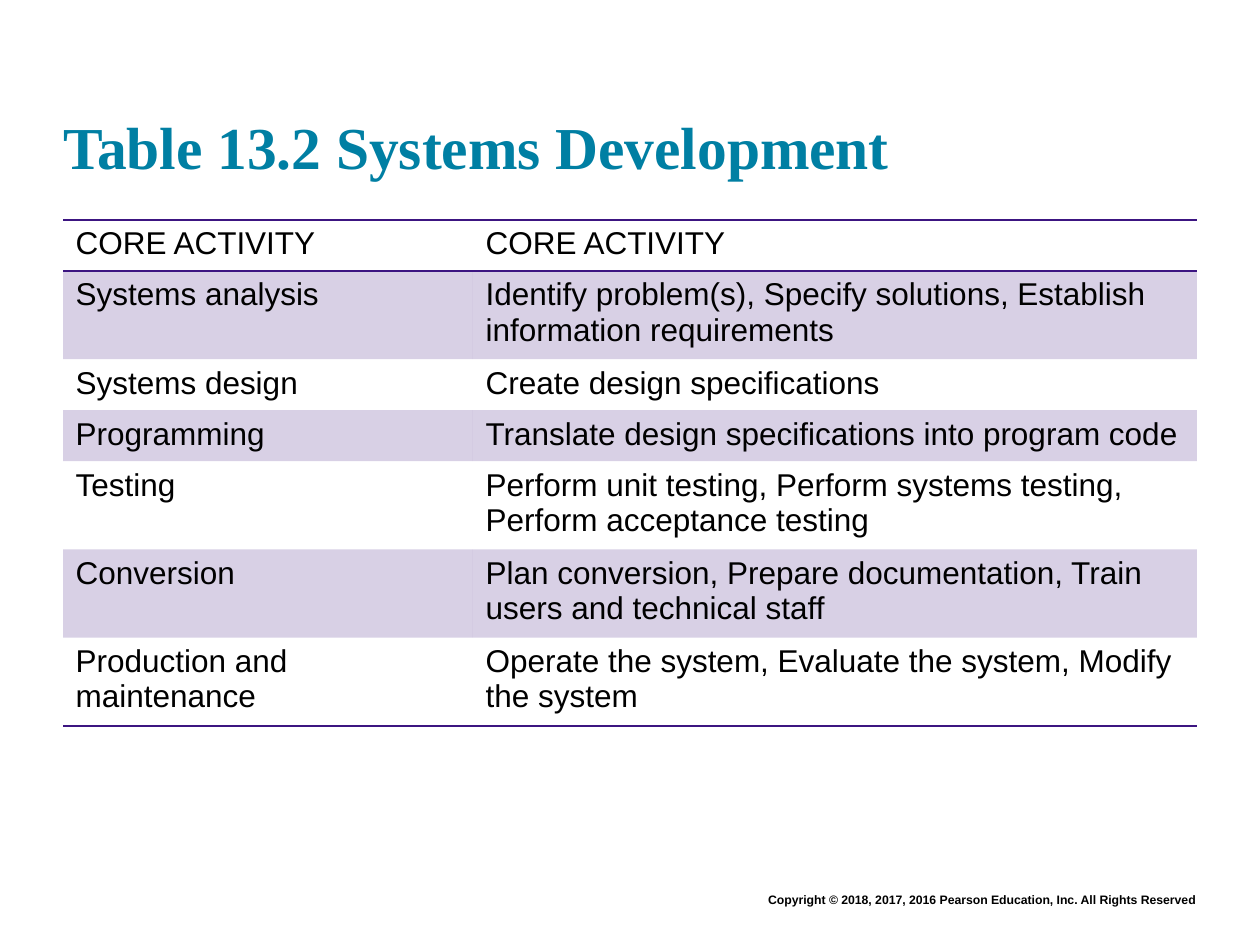
from lxml.etree import SubElement
from pptx import Presentation
from pptx.dml.color import RGBColor
from pptx.enum.text import MSO_ANCHOR, PP_ALIGN
from pptx.oxml import parse_xml
from pptx.oxml.ns import nsdecls, qn
from pptx.util import Pt

EMU_PER_PX = 914400 / 126
COLORS = {"title": "007FA3", "text": "000000", "rule": "3C1581"}
BAND_OPACITY = 20
NO_STYLE_NO_GRID = "{2D5ABB26-0587-4C30-8999-92F81FD0307C}"

ACTIVITIES = [
    ("CORE ACTIVITY", "CORE ACTIVITY"),
    ("Systems analysis",
     "Identify problem(s), Specify solutions, Establish information requirements"),
    ("Systems design", "Create design specifications"),
    ("Programming", "Translate design specifications into program code"),
    ("Testing",
     "Perform unit testing, Perform systems testing, Perform acceptance testing"),
    ("Conversion",
     "Plan conversion, Prepare documentation, Train users and technical staff"),
    ("Production and maintenance",
     "Operate the system, Evaluate the system, Modify the system"),
]


def px(length):
    return round(length * EMU_PER_PX)


def write(frame, text, size, font="Arial", color="text", bold=False,
          align=PP_ALIGN.LEFT):
    frame.word_wrap = True
    paragraph = frame.paragraphs[0]
    paragraph.alignment = align
    run = paragraph.add_run()
    run.text = text
    run.font.size = Pt(size)
    run.font.name = font
    run.font.bold = bold
    run.font.color.rgb = RGBColor.from_string(COLORS[color])


def add_title(slide, left, top, width, height):
    title = slide.shapes.title
    title.left, title.top, title.width, title.height = map(
        px, (left, top, width, height))
    frame = title.text_frame
    frame.margin_left = frame.margin_right = 0
    frame.margin_top = frame.margin_bottom = 0
    frame.vertical_anchor = MSO_ANCHOR.BOTTOM
    write(frame, "Table 13.2 Systems Development", 34,
          font="Times New Roman", color="title", bold=True)


def add_rule(cell, side):
    """Draw a 1 pt border on one side of a cell: lnT or lnB."""
    cell._tc.get_or_add_tcPr().insert(0, parse_xml(
        f'<a:{side} {nsdecls("a")} w="{Pt(1)}"><a:solidFill>'
        f'<a:srgbClr val="{COLORS["rule"]}"/></a:solidFill></a:{side}>'))


def shade(cell):
    cell.fill.solid()
    cell.fill.fore_color.rgb = RGBColor.from_string(COLORS["rule"])
    tint = cell._tc.tcPr.find(".//" + qn("a:srgbClr"))
    SubElement(tint, qn("a:alpha"), val=str(BAND_OPACITY * 1000))


def add_activity_table(slide, left, top, width, row_height, first_width):
    count = len(ACTIVITIES)
    table = slide.shapes.add_table(
        count, 2, px(left), px(top), px(width), px(row_height * count)).table
    table.horz_banding = False
    table._tbl.tblPr.find(qn("a:tableStyleId")).text = NO_STYLE_NO_GRID
    table.columns[0].width = px(first_width)
    table.columns[1].width = px(width - first_width)
    for row, texts in enumerate(ACTIVITIES):
        for column, text in enumerate(texts):
            cell = table.cell(row, column)
            write(cell.text_frame, text, 18)
            if row % 2:
                shade(cell)
            else:
                cell.fill.background()
            if row in (0, count - 1):
                add_rule(cell, "lnB")
            if row == 0:
                add_rule(cell, "lnT")


def add_copyright(slide, left, top, width, height):
    box = slide.shapes.add_textbox(*map(px, (left, top, width, height)))
    write(box.text_frame,
          "Copyright © 2018, 2017, 2016 Pearson Education, Inc. All Rights Reserved",
          7, bold=True, align=PP_ALIGN.RIGHT)


def main():
    deck = Presentation()
    deck.slide_width, deck.slide_height = px(1260), px(945)
    slide = deck.slides.add_slide(deck.slide_layouts[5])
    add_copyright(slide, 221, 886, 987, 28)
    add_title(slide, 63, 30, 1134, 151)
    add_activity_table(slide, 63, 220, 1134, row_height=51, first_width=410)
    deck.save("out.pptx")


if __name__ == "__main__":
    main()
